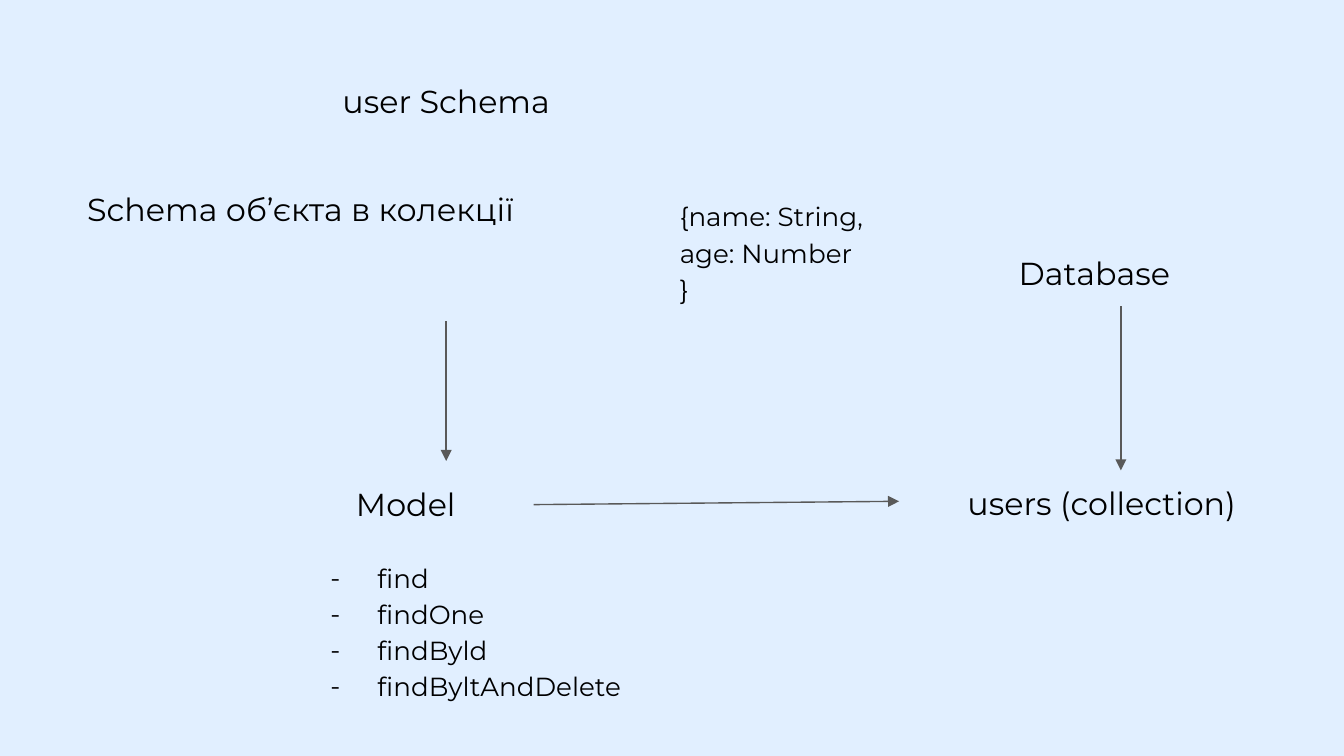
from dataclasses import dataclass
from typing import Optional

import pptx
import pptx.dml.color
import pptx.enum.shapes
import pptx.enum.text
import pptx.oxml
import pptx.oxml.ns
import pptx.util
from pptx.util import Inches

COLORS = {"background": "E1EFFF", "text": "000000", "arrow": "595959"}
FONT = "Montserrat"
TOP, BOTTOM, RIGHT = 0, 2, 3


@dataclass
class Label:
    name: str
    lines: list[str]
    left: float
    top: float
    width: float
    height: float = 0.49
    size: float = 17
    spacing: float = 1.0
    bullet: Optional[str] = None


@dataclass
class Arrow:
    start: tuple[float, float]
    end: tuple[float, float]
    source: Optional[tuple[str, int]] = None
    target: Optional[tuple[str, int]] = None


LABELS = [
    Label("schema", ["user Schema"], 2.45, 0.51, 2.67),
    Label("schema meaning", ["Schema об’єкта в колекції"], 0.55, 1.31, 3.79),
    Label("fields", ["{name: String,", "age: Number", "}"],
          4.96, 1.36, 5.04, 0.98, size=14, spacing=1.15),
    Label("model", ["Model"], 2.55, 3.51, 1.42),
    Label("methods", ["find", "findOne", "findByld", "findByltAndDelete"],
          2.21, 4.05, 7.68, 1.25, size=14, spacing=1.15, bullet="-"),
    Label("database", ["Database"], 7.48, 1.79, 1.72),
    Label("collection", ["users (collection)"], 7.1, 3.5, 2.48),
]

ARROWS = [
    Arrow((3.32, 2.39), (3.32, 3.43)),
    Arrow((8.34, 2.28), (8.34, 3.5), ("database", BOTTOM), ("collection", TOP)),
    Arrow((3.97, 3.76), (6.69, 3.73), source=("model", RIGHT)),
]


def rgb(name: str) -> pptx.dml.color.RGBColor:
    return pptx.dml.color.RGBColor.from_string(COLORS[name])


def add_bullet(para, mark: str) -> None:
    """Give a paragraph a hanging bullet."""
    properties = para._p.get_or_add_pPr()
    properties.set("marL", str(Inches(0.5)))
    properties.set("indent", str(Inches(-0.35)))
    namespace = pptx.oxml.ns.nsdecls("a")
    for xml in (
        f'<a:buClr {namespace}><a:srgbClr val="{COLORS["text"]}"/></a:buClr>',
        f'<a:buFont {namespace} typeface="{FONT}"/>',
        f'<a:buChar {namespace} char="{mark}"/>',
    ):
        properties.append(pptx.oxml.parse_xml(xml))


def write_line(para, text: str, *, size: float, spacing: float,
               bullet: Optional[str] = None) -> None:
    para.line_spacing = spacing
    if bullet:
        add_bullet(para, bullet)
    span = para.add_run()
    span.text = text
    span.font.name = FONT
    span.font.size = pptx.util.Pt(size)
    span.font.color.rgb = rgb("text")


def draw_label(page, label: Label):
    box = page.shapes.add_textbox(Inches(label.left), Inches(label.top),
                                  Inches(label.width), Inches(label.height))
    frame = box.text_frame
    frame.word_wrap = True
    frame.auto_size = pptx.enum.text.MSO_AUTO_SIZE.SHAPE_TO_FIT_TEXT
    frame.margin_left = frame.margin_right = Inches(0.1)
    frame.margin_top = frame.margin_bottom = Inches(0.1)
    for index, text in enumerate(label.lines):
        para = frame.add_paragraph() if index else frame.paragraphs[0]
        write_line(para, text, size=label.size, spacing=label.spacing,
                   bullet=label.bullet)
    return box


def draw_arrow(page, arrow: Arrow, boxes: dict) -> None:
    line = page.shapes.add_connector(
        pptx.enum.shapes.MSO_CONNECTOR.STRAIGHT,
        *(Inches(value) for value in arrow.start + arrow.end))
    if arrow.source:
        name, side = arrow.source
        line.begin_connect(boxes[name], side)
    if arrow.target:
        name, side = arrow.target
        line.end_connect(boxes[name], side)
    line.line.color.rgb = rgb("arrow")
    line.line.width = pptx.util.Pt(0.75)
    namespace = pptx.oxml.ns.nsdecls("a")
    line.line._get_or_add_ln().append(
        pptx.oxml.parse_xml(f'<a:tailEnd {namespace} type="triangle"/>'))
    line._element.spPr.append(pptx.oxml.parse_xml(f"<a:effectLst {namespace}/>"))


def main() -> None:
    # Widescreen deck, 16:9
    deck = pptx.Presentation()
    deck.slide_width = Inches(10)
    deck.slide_height = Inches(10 * 9 / 16)
    page = deck.slides.add_slide(deck.slide_layouts[6])  # blank layout

    # Background
    page.background.fill.solid()
    page.background.fill.fore_color.rgb = rgb("background")

    # Labels, then the arrows that join them
    boxes = {label.name: draw_label(page, label) for label in LABELS}
    for arrow in ARROWS:
        draw_arrow(page, arrow, boxes)

    deck.save("out.pptx")


if __name__ == "__main__":
    main()
